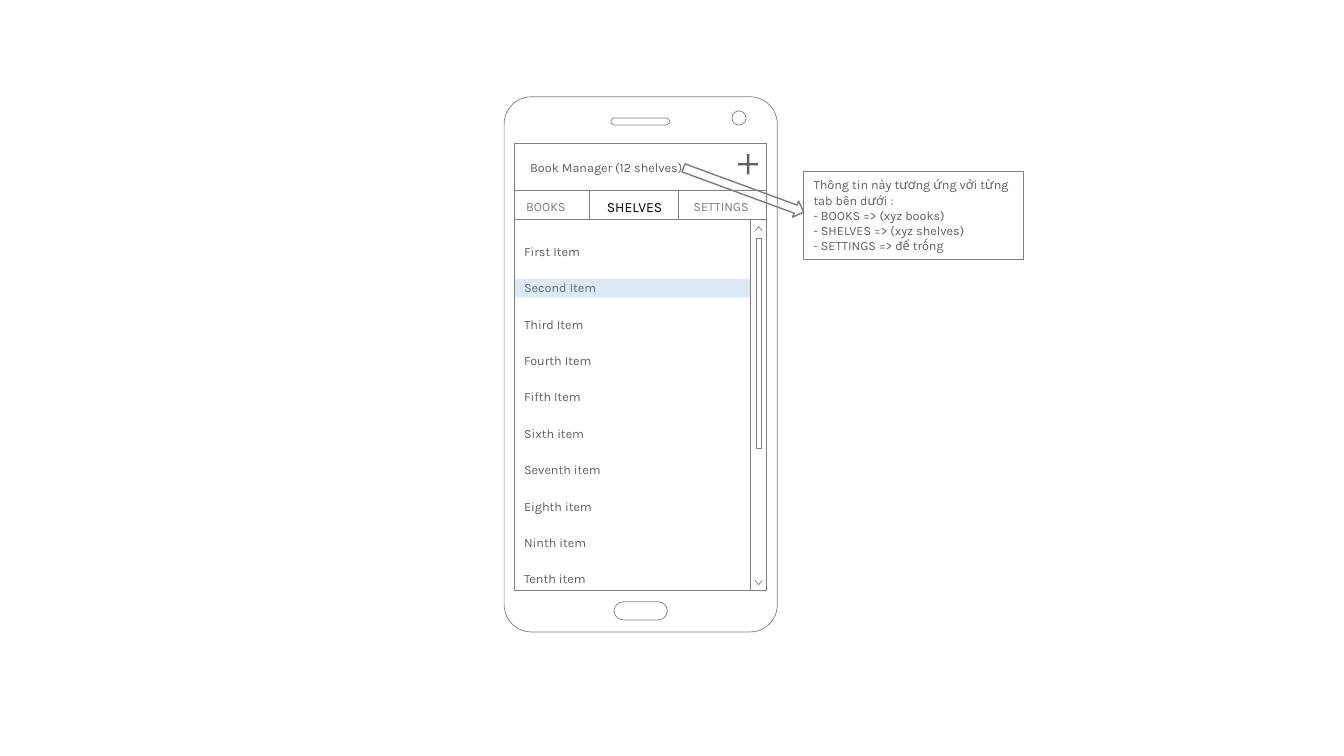
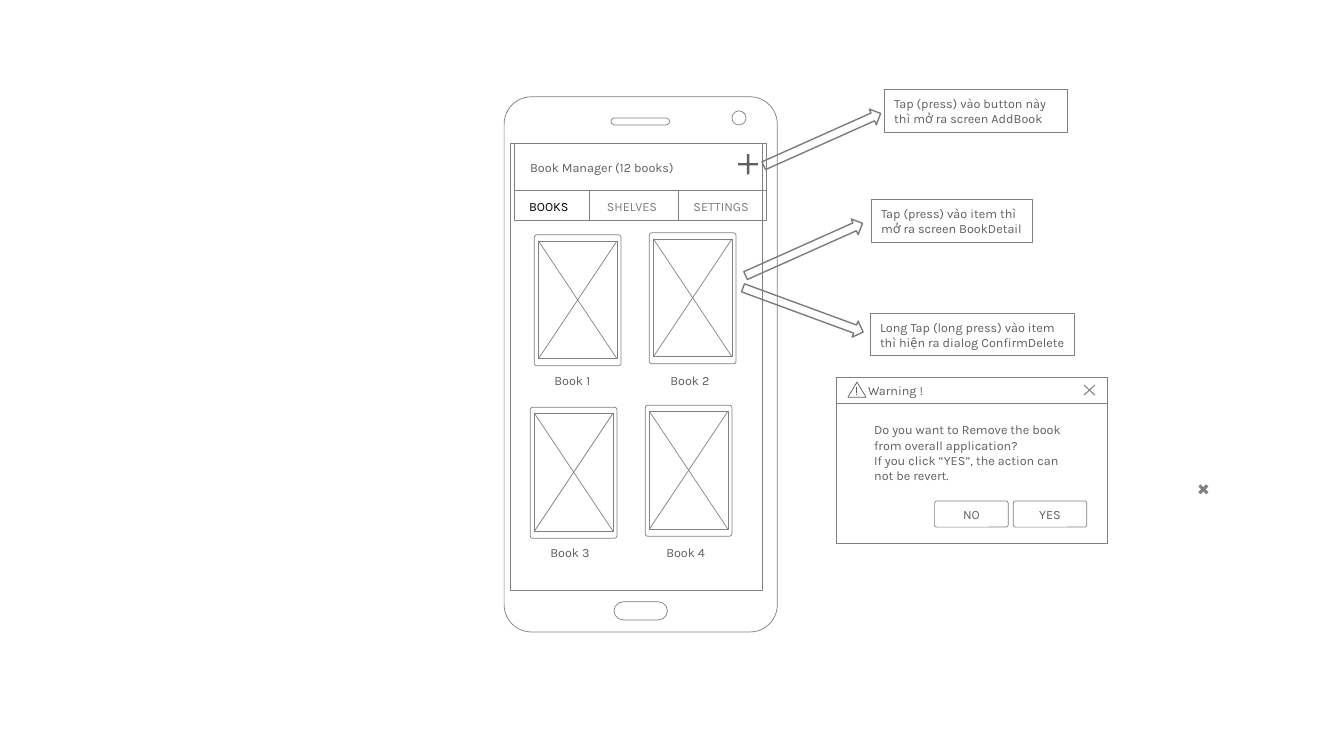
"""Wireframes of a book manager app: the shelves tab and the books tab."""
from lxml import etree
from pptx import Presentation
from pptx.dml.color import RGBColor
from pptx.enum.shapes import MSO_CONNECTOR, MSO_SHAPE
from pptx.enum.text import MSO_ANCHOR, PP_ALIGN
from pptx.oxml.ns import qn
from pptx.util import Inches, Pt

COLORS = {"white": "FFFFFF", "line": "808080", "text": "5F5F5F", "muted": "7C7C7C",
          "active": "000000", "select": "5B9BD5"}
FONT = "Karla"

SHELVES = {
    "title": "Book Manager (12 shelves)",
    "screen_x": 5.1,
    "active": "SHELVES",
    "tabs": [("BOOKS", 5.12, 0.71, 9), ("SHELVES", 5.92, 0.76, 10), ("SETTINGS", 6.78, 0.77, 9)],
    "notes": [((7.97, 1.7, 2.18, 0.87), ["Thông tin này tương ứng với từng tab bên dưới :",
                                         "- BOOKS => (xyz books)",
                                         "- SHELVES => (xyz shelves)",
                                         "- SETTINGS => để trống"])],
    "arrows": [(6.74, 1.8, 20.2)],
}
BOOKS = {
    "title": "Book Manager (12 books)",
    "screen_x": 5.06,
    "active": "BOOKS",
    "tabs": [("BOOKS", 5.15, 0.76, 9), ("SHELVES", 5.92, 0.76, 9), ("SETTINGS", 6.78, 0.77, 9)],
    "notes": [((8.63, 3.11, 2.03, 0.42),
               ["Long Tap (long press) vào item thì hiện ra dialog ConfirmDelete"]),
              ((8.64, 1.98, 1.6, 0.42), ["Tap (press) vào item thì mở ra screen BookDetail"]),
              ((8.77, 0.89, 1.82, 0.42), ["Tap (press) vào button này thì mở ra screen AddBook"])],
    "arrows": [(7.33, 2.99, 20.2), (7.34, 2.39, -24.1), (7.52, 1.3, -24.1)],
}
ITEMS = ["First Item", "Second Item", "Third Item", "Fourth Item", "Fifth Item",
         "Sixth item", "Seventh item", "Eighth item", "Ninth item", "Tenth item"]
BOOK_NAMES = ["Book 1", "Book 2", "Book 3", "Book 4"]
QUESTION = ["Do you want to Remove the book from overall application?",
            "If you click “YES”, the action can not be revert."]
BUTTONS = [("NO", 9.27), ("YES", 10.05)]


def rgb(name):
    return RGBColor.from_string(COLORS[name])


def box(s, at, kind=MSO_SHAPE.RECTANGLE, fill=None, line="line", weight=0.5, adj=None):
    sp = s.shapes.add_shape(kind, *map(Inches, at))
    sp.shadow.inherit = False
    paint(sp, fill, line, weight)
    if adj is not None:
        sp.adjustments[0] = adj
    return sp


def paint(sp, fill, line, weight):
    if fill:
        sp.fill.solid()
        sp.fill.fore_color.rgb = rgb(fill)
    else:
        sp.fill.background()
    if line:
        sp.line.color.rgb = rgb(line)
        sp.line.width = Pt(weight)
    else:
        sp.line.fill.background()


def write(sp, lines, size=9, color="text", anchor=MSO_ANCHOR.MIDDLE,
          align=PP_ALIGN.LEFT, insets=(0.1, 0.06, 0.1, 0.06), after=0):
    tf = sp.text_frame
    tf.word_wrap = True
    tf.vertical_anchor = anchor
    tf.margin_left, tf.margin_top, tf.margin_right, tf.margin_bottom = map(Inches, insets)
    tf.text = "\n".join(lines)
    for p in tf.paragraphs:
        p.alignment = align
        p.space_after = Pt(after)
        p.font.size, p.font.name = Pt(size), FONT
        p.font.color.rgb = rgb(color)


def label(s, at, text, **style):
    write(s.shapes.add_textbox(*map(Inches, at)), [text], **style)


def diagonals(s, x, y, w, h, weight=0.5):
    for top, bottom in ((y, y + h), (y + h, y)):
        c = s.shapes.add_connector(MSO_CONNECTOR.STRAIGHT,
                                   *map(Inches, (x, top, x + w, bottom)))
        c.line.color.rgb = rgb("line")
        c.line.width = Pt(weight)
        etree.SubElement(c._element.spPr, qn("a:effectLst"))


def chevron(s, y, tip):
    points = [(Inches(x), Inches(v)) for x, v in ((7.49, y), (7.525, tip), (7.56, y))]
    builder = s.shapes.build_freeform(*points[0])
    builder.add_line_segments(points[1:], close=False)
    sp = builder.convert_to_shape()
    sp.shadow.inherit = False
    paint(sp, None, "line", 0.5)


def phone(s, page):
    rounded = MSO_SHAPE.ROUNDED_RECTANGLE
    box(s, (5, 0.96, 2.71, 5.31), rounded, "white", adj=0.1)
    box(s, (6.09, 5.97, 0.53, 0.18), rounded, adj=0.5)
    box(s, (7.26, 1.1, 0.14, 0.14), MSO_SHAPE.OVAL)
    box(s, (6.06, 1.17, 0.58, 0.07), rounded, adj=0.5)
    box(s, (page["screen_x"], 1.42, 2.5, 4.44), fill="white")
    for at in ((5.1, 1.42, 2.5, 0.47), (5.1, 1.89, 2.5, 0.3), (5.85, 1.89, 0.88, 0.3)):
        box(s, at)
    box(s, (7.32, 1.53, 0.2, 0.2), MSO_SHAPE.CROSS, "text", None, adj=0.44)
    label(s, (5.16, 1.53, 1.85, 0.26), page["title"])
    for name, x, w, size in page["tabs"]:
        label(s, (x, 1.92, w, 0.26), name, size=size,
              color="active" if name == page["active"] else "muted")


def callouts(s, page):
    for at, lines in page["notes"]:
        write(box(s, at, fill="white"), lines, insets=(0.1, 0.06, 0.06, 0.06))
    for x, y, angle in page["arrows"]:
        arrow = box(s, (x, y, 1.27, 0.17), MSO_SHAPE.RIGHT_ARROW, line="muted", weight=1)
        arrow.rotation = angle


def shelf_list(s):
    write(box(s, (5.1, 2.18, 2.34, 3.68), fill="white"), ITEMS,
          anchor=MSO_ANCHOR.TOP, insets=(0.1, 0.24, 0.1, 0), after=15.15)
    selected = box(s, (5.1, 2.77, 2.34, 0.18), fill="select", line=None)
    color = selected._element.spPr.find(qn("a:solidFill"))[0]
    etree.SubElement(color, qn("a:alpha"), val="22000")
    box(s, (7.44, 2.18, 0.16, 3.68), fill="white")
    box(s, (7.5, 2.36, 0.05, 2.09), fill="white")
    chevron(s, 2.29, 2.25)
    chevron(s, 5.76, 5.8)


def book_grid(s):
    for i, name in enumerate(BOOK_NAMES):
        row, col = divmod(i, 2)
        x = 5.3 + 1.14 * col - 0.04 * row
        y = 2.33 + 1.71 * row - 0.02 * col
        cover = (x + 0.04, y + 0.06, 0.78, 1.17)
        box(s, (x, y, 0.86, 1.3), MSO_SHAPE.ROUNDED_RECTANGLE, adj=0.03)
        box(s, cover, fill="white")
        diagonals(s, *cover)
        label(s, (x + 0.1 + 0.01 * col, 3.64 + 1.71 * row, 0.65, 0.26), name)


def delete_dialog(s):
    box(s, (8.3, 4, 2.68, 1.39), fill="white")
    question = s.shapes.add_textbox(*map(Inches, (8.59, 4.15, 2.19, 0.75)))
    write(question, QUESTION, anchor=MSO_ANCHOR.TOP, insets=(0.08, 0.04, 0.08, 0.04))
    write(box(s, (8.3, 3.74, 2.68, 0.26), fill="white"), ["Warning !"],
          insets=(0.31, 0.05, 0.25, 0.05))
    diagonals(s, 10.75, 3.82, 0.11, 0.1, 0.75)
    for name, x in BUTTONS:
        button = box(s, (x, 4.97, 0.73, 0.26), MSO_SHAPE.ROUNDED_RECTANGLE, "white", adj=0.09)
        write(button, [name], align=PP_ALIGN.CENTER, insets=(0.1, 0.05, 0.1, 0.05))
    box(s, (8.41, 3.79, 0.18, 0.15), MSO_SHAPE.ISOSCELES_TRIANGLE, line="text")
    for y, h in ((3.84, 0.06), (3.91, 0.01)):
        box(s, (8.49, y, 0.01, h), fill="text", line=None)


prs = Presentation()
prs.slide_width, prs.slide_height = Inches(13.33), Inches(7.5)
for page in (SHELVES, BOOKS):
    s = prs.slides.add_slide(prs.slide_layouts[6])
    phone(s, page)
    if page is SHELVES:
        shelf_list(s)
    else:
        book_grid(s)
        delete_dialog(s)
        mark = box(s, (11.88, 4.8, 0.11, 0.11), MSO_SHAPE.CROSS, "line", None, adj=0.36)
        mark.rotation = 45
    callouts(s, page)
prs.save("out.pptx")
